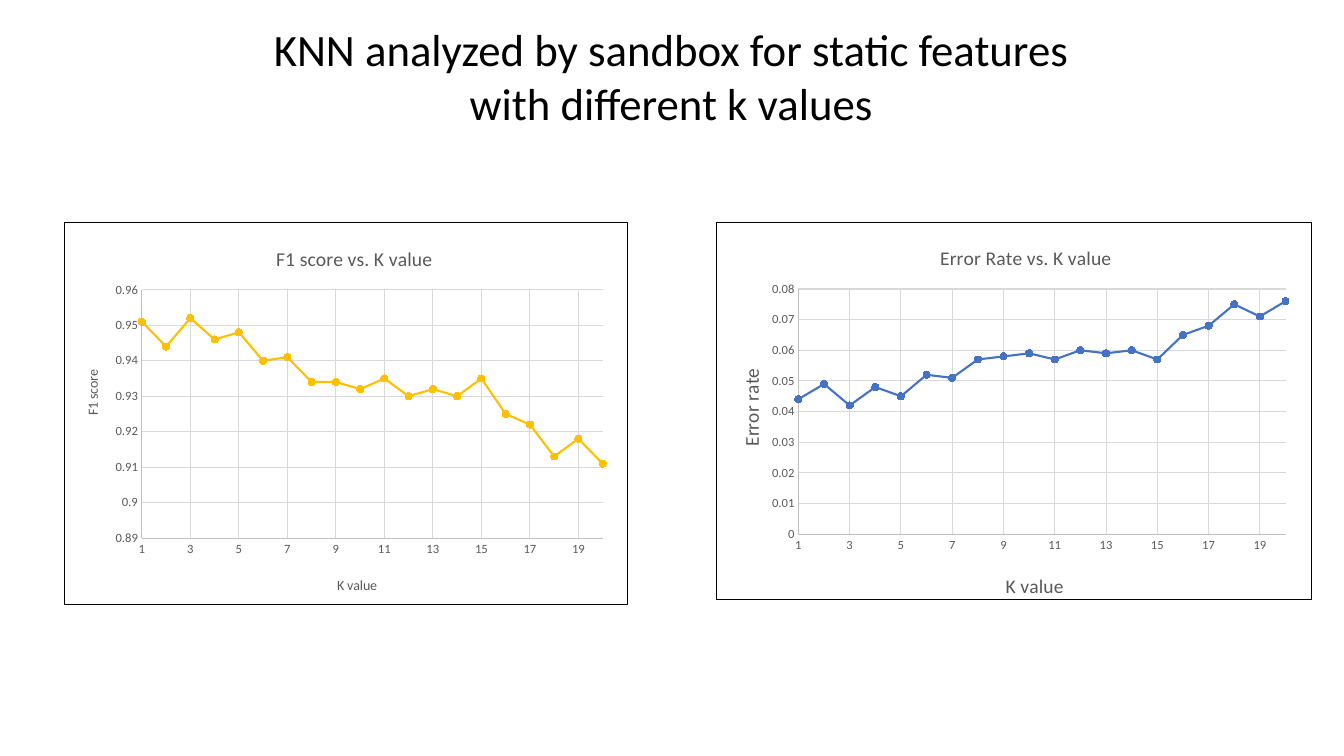
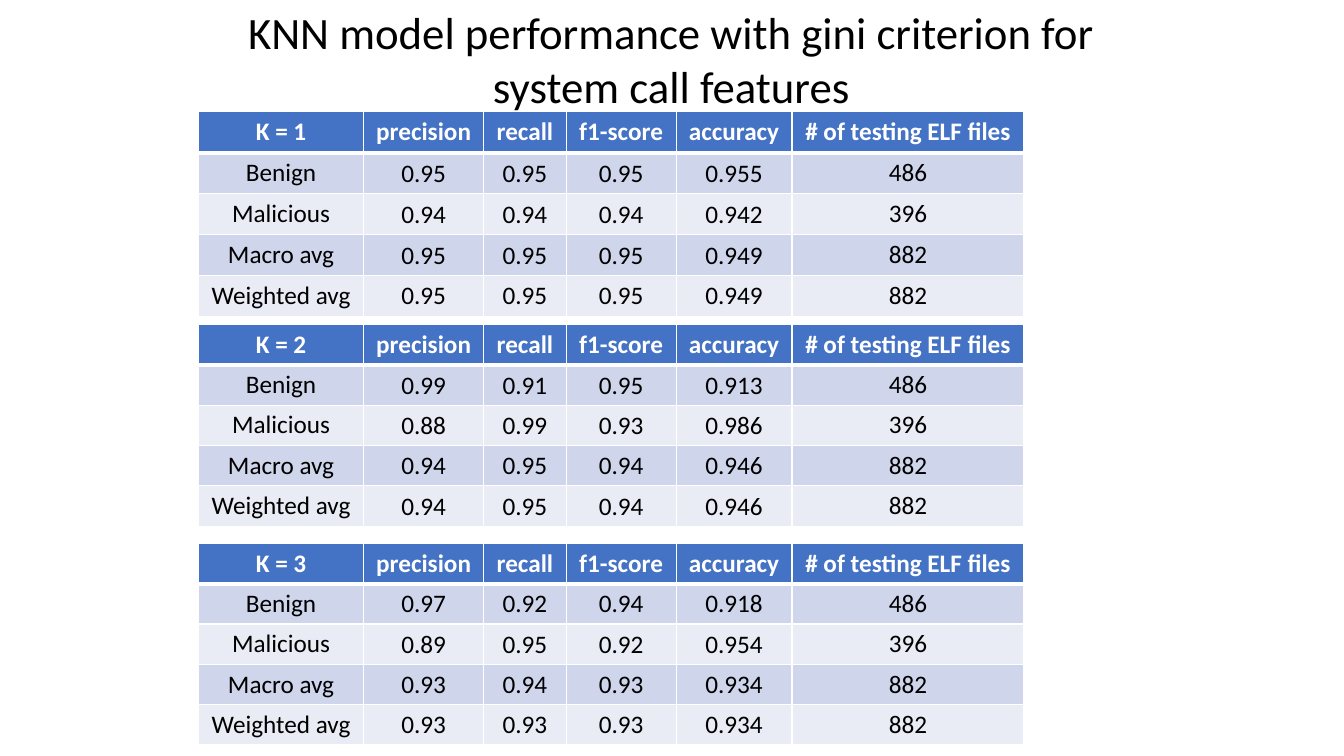
"""Build two slides on KNN results: two scatter charts and three score tables."""
from pptx import Presentation
from pptx.chart.data import XyChartData
from pptx.dml.color import RGBColor
from pptx.enum.chart import XL_CHART_TYPE, XL_MARKER_STYLE, XL_TICK_MARK
from pptx.enum.text import MSO_ANCHOR, PP_ALIGN
from pptx.oxml import parse_xml
from pptx.oxml.ns import nsdecls, qn
from pptx.util import Pt

SCATTER = XL_CHART_TYPE.XY_SCATTER_LINES
CIRCLE = XL_MARKER_STYLE.CIRCLE
NO_TICK = XL_TICK_MARK.NONE
CENTER = PP_ALIGN.CENTER
MIDDLE = MSO_ANCHOR.MIDDLE

FONT = "Calibri"
COLORS = {
    "black": "000000", "white": "FFFFFF", "gray": "595959", "axis": "BFBFBF",
    "grid": "D9D9D9", "blue": "4472C4", "gold": "FFC000",
    "band_dark": "CFD5EA", "band_light": "E9EBF5",
}

CHARTS_TITLE = "KNN analyzed by sandbox for static features with different k values"
TABLES_TITLE = "KNN model performance with gini criterion for system call features"

CHART_TOP, CHART_HEIGHT = 158.4, 273.6
CHARTS = [
    {"title": "Error Rate vs. K value", "y_title": "Error rate", "axis_title_size": 14,
     "left": 511.2, "width": 426.2, "color": "blue", "y_range": (0, 0.08),
     "values": [0.044, 0.049, 0.042, 0.048, 0.045, 0.052, 0.051, 0.057, 0.058, 0.059,
                0.057, 0.06, 0.059, 0.06, 0.057, 0.065, 0.068, 0.075, 0.071, 0.076]},
    {"title": "F1 score vs. K value", "y_title": "F1 score", "axis_title_size": 10,
     "left": 45.4, "width": 403.2, "color": "gold", "y_range": (0.89, 0.96),
     "values": [0.951, 0.944, 0.952, 0.946, 0.948, 0.94, 0.941, 0.934, 0.934, 0.932,
                0.935, 0.93, 0.932, 0.93, 0.935, 0.925, 0.922, 0.913, 0.918, 0.911]},
]

MEASURES = ["precision", "recall", "f1-score", "accuracy", "# of testing ELF files"]
CLASSES = [("Benign", "486"), ("Malicious", "396"), ("Macro avg", "882"), ("Weighted avg", "882")]
TABLE_LEFT = 141.8
COLUMN_WIDTHS = [118, 85.7, 59, 78.5, 82.8, 165.6]
TABLES = [
    {"name": "K = 1", "top": 79.9, "row_height": 29.2, "scores": [
        ("0.95", "0.95", "0.95", "0.955"), ("0.94", "0.94", "0.94", "0.942"),
        ("0.95", "0.95", "0.95", "0.949"), ("0.95", "0.95", "0.95", "0.949")]},
    {"name": "K = 2", "top": 231.8, "row_height": 28.8, "scores": [
        ("0.99", "0.91", "0.95", "0.913"), ("0.88", "0.99", "0.93", "0.986"),
        ("0.94", "0.95", "0.94", "0.946"), ("0.94", "0.95", "0.94", "0.946")]},
    {"name": "K = 3", "top": 388.1, "row_height": 28.8, "scores": [
        ("0.97", "0.92", "0.94", "0.918"), ("0.89", "0.95", "0.92", "0.954"),
        ("0.93", "0.94", "0.93", "0.934"), ("0.93", "0.93", "0.93", "0.934")]},
]


def rgb(name):
    """Return a named colour."""
    return RGBColor.from_string(COLORS[name])


def write(frame, text, size=18, color="black", bold=False):
    """Put one centred, formatted paragraph in a text frame."""
    para = frame.paragraphs[0]
    para.alignment = CENTER
    span = para.add_run()
    span.text = text
    span.font.name, span.font.size, span.font.bold = FONT, Pt(size), bold
    span.font.color.rgb = rgb(color)


def add_page(deck, title, top):
    """Add a blank slide with its title."""
    page = deck.slides.add_slide(deck.slide_layouts[6])
    box = page.shapes.add_textbox(Pt(167.8), Pt(top), Pt(623.5), Pt(85))
    box.text_frame.word_wrap = True
    write(box.text_frame, title, size=32)
    return page


def set_layout(element, index, target="", **places):
    """Place a chart part by fractions of the chart area."""
    old = element.find(qn("c:layout"))
    if old is not None:
        element.remove(old)
    modes = "".join(f'<c:{axis}Mode val="edge"/>' for axis in "xy")
    values = "".join(f'<c:{key} val="{value}"/>' for key, value in places.items())
    element.insert(index, parse_xml(
        f'<c:layout {nsdecls("c")}><c:manualLayout>{target}{modes}{values}'
        '</c:manualLayout></c:layout>'))


def add_chart_text(title, text, x, y, size, rotation=0):
    """Write a chart or axis title and place it."""
    write(title.text_frame, text, size=size, color="gray")
    title.element.find(".//" + qn("a:bodyPr")).set("rot", str(rotation))
    set_layout(title.element, 1, x=x, y=y)


def style_axis(axis, low, high, step):
    """Scale an axis and set its lines and labels."""
    axis.minimum_scale, axis.maximum_scale, axis.major_unit = low, high, step
    axis.major_tick_mark = axis.minor_tick_mark = NO_TICK
    axis.has_major_gridlines = True
    for line, color in ((axis.format.line, "axis"), (axis.major_gridlines.format.line, "grid")):
        line.color.rgb, line.width = rgb(color), Pt(0.75)
    font = axis.tick_labels.font
    font.name, font.size, font.color.rgb = FONT, Pt(9), rgb("gray")


def add_scatter(page, spec_data):
    """Add one framed scatter chart with lines."""
    data = XyChartData()
    points = data.add_series("Series 1")
    for k, value in enumerate(spec_data["values"], 1):
        points.add_data_point(k, value)
    chart = page.shapes.add_chart(
        SCATTER, Pt(spec_data["left"]), Pt(CHART_TOP),
        Pt(spec_data["width"]), Pt(CHART_HEIGHT), data).chart
    chart.has_legend = False
    chart.font.name, chart.font.size = FONT, Pt(10)
    chart.element.find(qn("c:chart")).addnext(parse_xml(
        f'<c:spPr {nsdecls("c", "a")}><a:noFill/><a:ln w="{Pt(0.75)}"><a:solidFill>'
        f'<a:srgbClr val="{COLORS["black"]}"/></a:solidFill></a:ln></c:spPr>'))

    style_axis(chart.category_axis, 1, 20, 2)
    style_axis(chart.value_axis, *spec_data["y_range"], 0.01)
    size = spec_data["axis_title_size"]
    chart.has_title = True
    add_chart_text(chart.chart_title, spec_data["title"], 0.37, 0.05, 14)
    add_chart_text(chart.category_axis.axis_title, "K value", 0.48, 0.92, size)
    add_chart_text(chart.value_axis.axis_title, spec_data["y_title"], 0.03, 0.38, size,
                   rotation=-5400000)
    set_layout(chart.element.find(".//" + qn("c:plotArea")), 0,
               target='<c:layoutTarget val="inner"/>', x=0.138, y=0.177, w=0.818, h=0.65)

    plot = chart.plots[0]
    plot.vary_by_categories = False
    series = plot.series[0]
    color = rgb(spec_data["color"])
    series.format.line.color.rgb, series.format.line.width = color, Pt(1.5)
    marker = series.marker
    marker.style, marker.size = CIRCLE, 5
    marker.format.fill.solid()
    marker.format.fill.fore_color.rgb = color
    marker.format.line.color.rgb = color


def set_borders(cell, top, bottom):
    """Give a cell white borders."""
    widths = {"lnL": 1, "lnR": 1, "lnT": top, "lnB": bottom}
    properties = cell._tc.get_or_add_tcPr()
    for index, (side, width) in enumerate(widths.items()):
        properties.insert(index, parse_xml(
            f'<a:{side} {nsdecls("a")} w="{Pt(width)}"><a:solidFill>'
            f'<a:srgbClr val="{COLORS["white"]}"/></a:solidFill></a:{side}>'))


def add_scores(page, content):
    """Add one table of scores with a header row."""
    rows = [[content["name"], *MEASURES]]
    rows += [[label, *scores, count]
             for (label, count), scores in zip(CLASSES, content["scores"])]
    height = content["row_height"]
    table = page.shapes.add_table(
        len(rows), len(COLUMN_WIDTHS), Pt(TABLE_LEFT), Pt(content["top"]),
        Pt(sum(COLUMN_WIDTHS)), Pt(height * len(rows))).table
    for column, width in zip(table.columns, COLUMN_WIDTHS):
        column.width = Pt(width)
    for r, texts in enumerate(rows):
        table.rows[r].height = Pt(height)
        header = r == 0
        fill = "blue" if header else "band_dark" if r % 2 else "band_light"
        for c, text in enumerate(texts):
            cell = table.cell(r, c)
            cell.vertical_anchor = MIDDLE
            cell.margin_top = cell.margin_bottom = Pt(3.2)
            if not header and 0 < c < len(texts) - 1:
                cell.margin_left = cell.margin_right = cell.margin_top = Pt(0.7)
                cell.margin_bottom = 0
            cell.fill.solid()
            cell.fill.fore_color.rgb = rgb(fill)
            set_borders(cell, top=3 if r == 1 else 1, bottom=3 if header else 1)
            write(cell.text_frame, text, color="white" if header else "black", bold=header)


def main():
    """Build and save the deck."""
    deck = Presentation()
    deck.slide_width, deck.slide_height = Pt(960), Pt(540)
    page = add_page(deck, CHARTS_TITLE, 12.2)
    for content in CHARTS:
        add_scatter(page, content)
    page = add_page(deck, TABLES_TITLE, 0)
    for content in TABLES:
        add_scores(page, content)
    deck.save("out.pptx")


if __name__ == "__main__":
    main()
